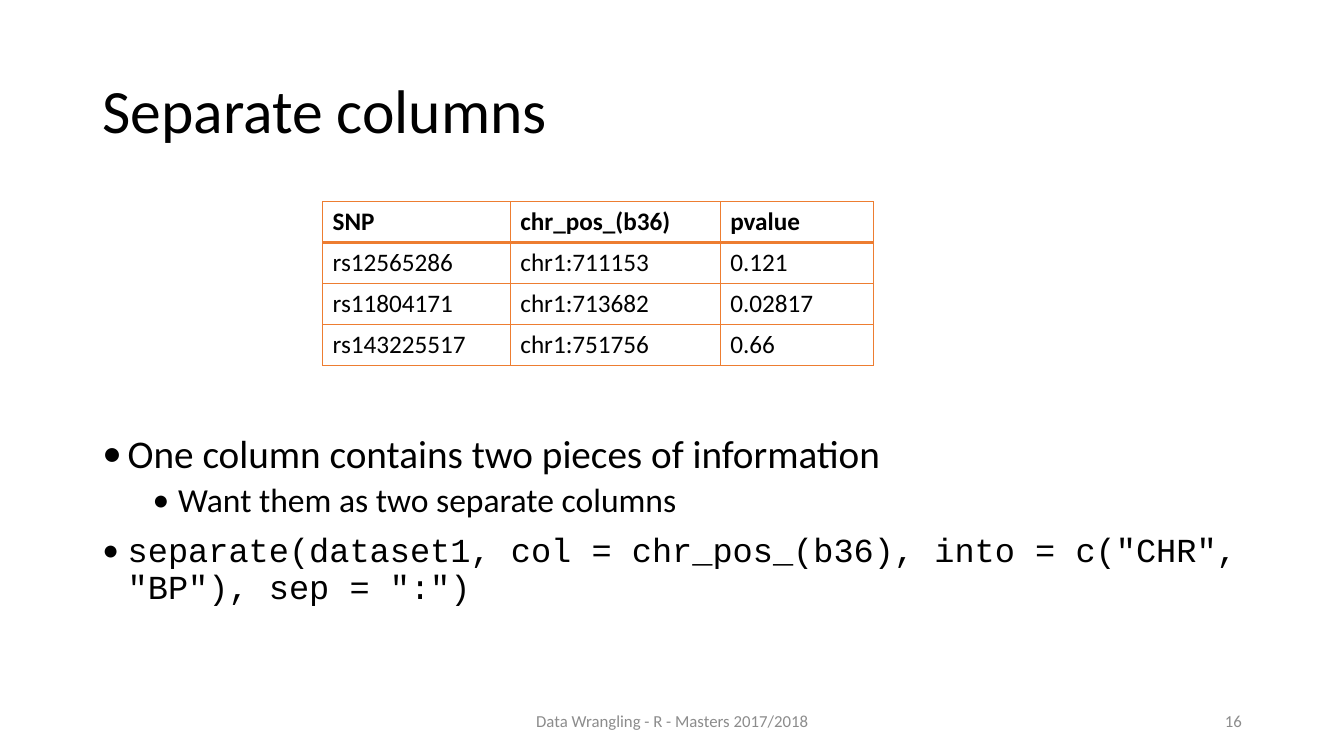
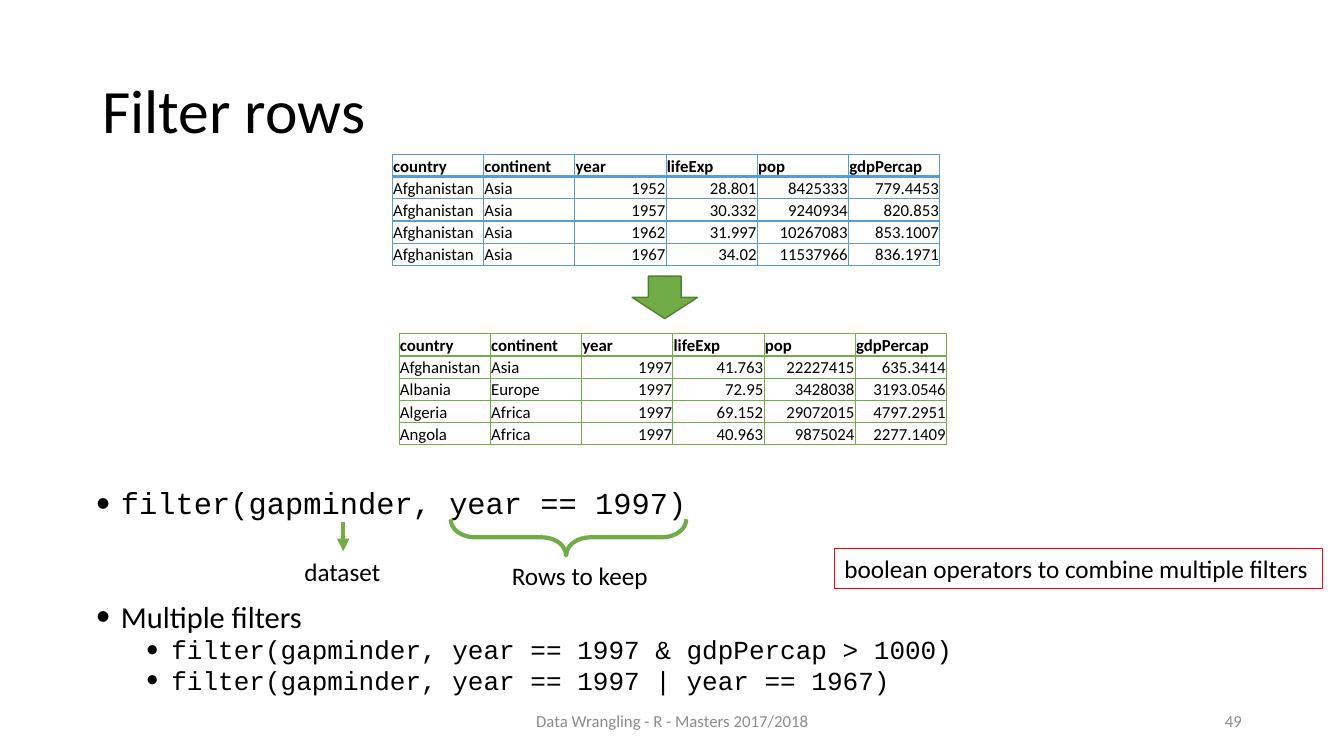
from lxml import etree
from pptx import Presentation
from pptx import util as u
from pptx.dml.color import RGBColor
from pptx.enum import shapes, text
from pptx.oxml import ns

BODY, CODE = "Calibri", "Courier New"
BLACK, GREY, RED = "000000", "8C8C8C", "FF0000"
ORANGE, BLUE, GREEN, DARK_GREEN = "ED7D31", "5B9BD5", "70AD47", "538035"
LEFT, CENTER, RIGHT = text.PP_ALIGN.LEFT, text.PP_ALIGN.CENTER, text.PP_ALIGN.RIGHT
TOP, MIDDLE, BOTTOM = text.MSO_ANCHOR.TOP, text.MSO_ANCHOR.MIDDLE, text.MSO_ANCHOR.BOTTOM


def rgb(value):
    return RGBColor.from_string(value)


def add_xml(parent, tag, **attributes):
    return etree.SubElement(parent, ns.qn(tag), attributes)


def write(paragraph, words, size=18, font=BODY, color=BLACK, bold=False,
          align=LEFT, spacing=None, before=0):
    paragraph.alignment = align
    paragraph.line_spacing = spacing
    paragraph.space_before = u.Pt(before)
    run = paragraph.add_run()
    run.text = words
    run.font.size = u.Pt(size)
    run.font.name = font
    run.font.bold = bold
    run.font.color.rgb = rgb(color)


class Deck:
    footer = "Data Wrangling - R - Masters 2017/2018"

    def __init__(self):
        self.file = Presentation()
        self.file.slide_width, self.file.slide_height = u.Cm(33.87), u.Cm(19.05)
        self.slide = None

    def start(self, title, number):
        self.slide = self.file.slides.add_slide(self.file.slide_layouts[6])
        self.label(title, 2.33, 1.02, 29.21, 3.68, anchor=MIDDLE, size=44, spacing=0.9)
        self.label(self.footer, 11.23, 17.65, 11.43, 1.02, anchor=MIDDLE,
                   size=12, color=GREY, align=CENTER)
        self.label(str(number), 23.93, 17.65, 7.62, 1.02, anchor=MIDDLE,
                   size=12, color=GREY, align=RIGHT)

    def box(self, *place):
        return self.slide.shapes.add_textbox(*map(u.Cm, place))

    def label(self, words, *place, anchor=TOP, wrap=True, **style):
        box = self.box(*place)
        box.text_frame.word_wrap = wrap
        box.text_frame.vertical_anchor = anchor
        write(box.text_frame.paragraphs[0], words, **style)
        return box

    def bullets(self, items, *place, spacing):
        frame = self.box(*place).text_frame
        frame.word_wrap = True
        for index, (level, words, size, font) in enumerate(items):
            paragraph = frame.add_paragraph() if index else frame.paragraphs[0]
            before = (10, 5)[level] if index else 0
            write(paragraph, words, size=size, font=font, spacing=spacing, before=before)
            paragraph.level = level
            properties = paragraph._p.get_or_add_pPr()
            properties.set("marL", str(u.Cm((0.64, 1.91)[level])))
            properties.set("indent", str(-u.Cm(0.64)))
            add_xml(properties, "a:buFont", typeface=BODY)
            add_xml(properties, "a:buChar", char="•")

    def border(self, cell, color, top, bottom):
        properties = cell._tc.get_or_add_tcPr()
        for side, width in (("L", 1), ("R", 1), ("T", top), ("B", bottom)):
            line = add_xml(properties, f"a:ln{side}", w=str(u.Pt(width)))
            add_xml(add_xml(line, "a:solidFill"), "a:srgbClr", val=color)

    def table(self, rows, left, top, widths, height, color, size,
              numeric_from=None, tight=False):
        place = map(u.Cm, (left, top, sum(widths), height * len(rows)))
        grid = self.slide.shapes.add_table(len(rows), len(widths), *place).table
        grid.first_row = grid.horz_banding = False
        for column, width in zip(grid.columns, widths):
            column.width = u.Cm(width)
        for r, values in enumerate(rows):
            grid.rows[r].height = u.Cm(height)
            for c, value in enumerate(values):
                cell = grid.cell(r, c)
                if tight:
                    cell.vertical_anchor = BOTTOM
                    cell.margin_left = cell.margin_right = cell.margin_top = u.Cm(0.02)
                    cell.margin_bottom = 0
                is_number = r > 0 and numeric_from is not None and c >= numeric_from
                write(cell.text_frame.paragraphs[0], value, size=size, bold=r == 0,
                      align=RIGHT if is_number else LEFT)
                self.border(cell, color, 2 if r == 1 else 1, 2 if r == 0 else 1)
                cell.fill.background()

    def shape(self, kind, *place, line, width, fill=None):
        shape = self.slide.shapes.add_shape(kind, *map(u.Cm, place))
        shape.shadow.inherit = False
        if fill:
            shape.fill.solid()
            shape.fill.fore_color.rgb = rgb(fill)
        else:
            shape.fill.background()
        shape.line.color.rgb = rgb(line)
        shape.line.width = u.Pt(width)
        return shape

    def arrow_to_top(self, target, x, start, end, color, width):
        arrow = self.slide.shapes.add_connector(
            shapes.MSO_CONNECTOR.STRAIGHT, *map(u.Cm, (x, start, x, end)))
        arrow.end_connect(target, 0)
        arrow.line.color.rgb = rgb(color)
        arrow.line.width = u.Pt(width)
        add_xml(arrow.line._get_or_add_ln(), "a:tailEnd", type="triangle")
        add_xml(arrow._element.spPr, "a:effectLst")


def separate_columns(deck):
    deck.start("Separate columns", 16)
    snps = [
        ("SNP", "chr_pos_(b36)", "pvalue"),
        ("rs12565286", "chr1:711153", "0.121"),
        ("rs11804171", "chr1:713682", "0.02817"),
        ("rs143225517", "chr1:751756", "0.66"),
    ]
    deck.table(snps, 8.13, 5.08, (4.73, 5.29, 3.87), 1.03, ORANGE, 18)
    deck.bullets([
        (0, "One column contains two pieces of information", 28, BODY),
        (1, "Want them as two separate columns", 24, BODY),
        (0, 'separate(dataset1, col = chr_pos_(b36), into = c("CHR", "BP"), sep = ":")',
         24, CODE),
    ], 2.33, 10.82, 29.21, 6.35, spacing=0.9)


def filter_rows(deck):
    deck.start("Filter rows", 49)
    header = ("country", "continent", "year", "lifeExp", "pop", "gdpPercap")
    before = [
        header,
        ("Afghanistan", "Asia", "1952", "28.801", "8425333", "779.4453"),
        ("Afghanistan", "Asia", "1957", "30.332", "9240934", "820.853"),
        ("Afghanistan", "Asia", "1962", "31.997", "10267083", "853.1007"),
        ("Afghanistan", "Asia", "1967", "34.02", "11537966", "836.1971"),
    ]
    after = [
        header,
        ("Afghanistan", "Asia", "1997", "41.763", "22227415", "635.3414"),
        ("Albania", "Europe", "1997", "72.95", "3428038", "3193.0546"),
        ("Algeria", "Africa", "1997", "69.152", "29072015", "4797.2951"),
        ("Angola", "Africa", "1997", "40.963", "9875024", "2277.1409"),
    ]
    for rows, left, top, color in ((before, 9.89, 3.89, BLUE), (after, 10.06, 8.41, GREEN)):
        deck.table(rows, left, top, [2.3] * len(header), 0.56, color, 12,
                   numeric_from=2, tight=True)
    deck.shape(shapes.MSO_SHAPE.DOWN_ARROW, 15.93, 6.96, 1.65, 1.07,
               line=DARK_GREEN, width=1, fill=GREEN)

    deck.bullets([(0, "filter(gapminder, year == 1997)", 21.7, CODE)],
                 2.16, 12.29, 29.21, 1.02, spacing=0.75)
    deck.bullets([
        (0, "Multiple filters", 21.7, BODY),
        (1, "filter(gapminder, year == 1997 & gdpPercap > 1000)", 18.6, CODE),
        (1, "filter(gapminder, year == 1997 | year == 1967)", 18.6, CODE),
    ], 2.16, 15.16, 29.21, 2.49, spacing=0.75)

    brace = deck.shape(shapes.MSO_SHAPE.RIGHT_BRACE, 13.87, 10.57, 0.91, 5.94,
                       line=GREEN, width=3)
    brace.rotation = 90
    brace.adjustments[0], brace.adjustments[1] = 0.68, 0.51
    deck.label("Rows to keep", 12.65, 14, 3.99, 1.02, wrap=False)
    dataset = deck.label("dataset", 7.42, 13.89, 2.46, 1.02, wrap=False)
    deck.arrow_to_top(dataset, 8.65, 13.16, 13.89, GREEN, 3)

    operators = deck.shape(shapes.MSO_SHAPE.RECTANGLE, 21.03, 13.82, 12.29, 1.02,
                           line=RED, width=0.75)
    operators.text_frame.word_wrap = False
    operators.text_frame.vertical_anchor = TOP
    write(operators.text_frame.paragraphs[0], "boolean operators to combine multiple filters")


def main():
    deck = Deck()
    separate_columns(deck)
    filter_rows(deck)
    deck.file.save("out.pptx")


if __name__ == "__main__":
    main()
